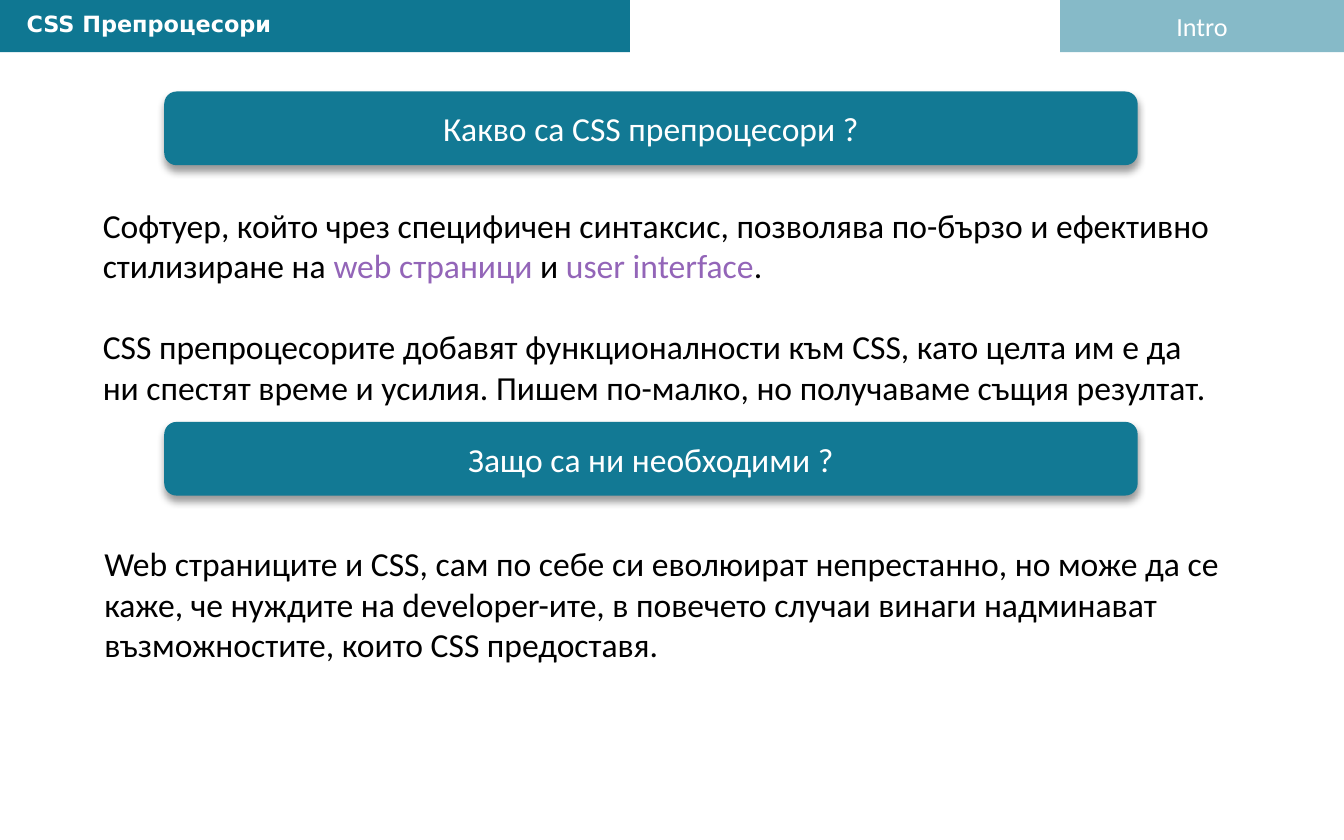
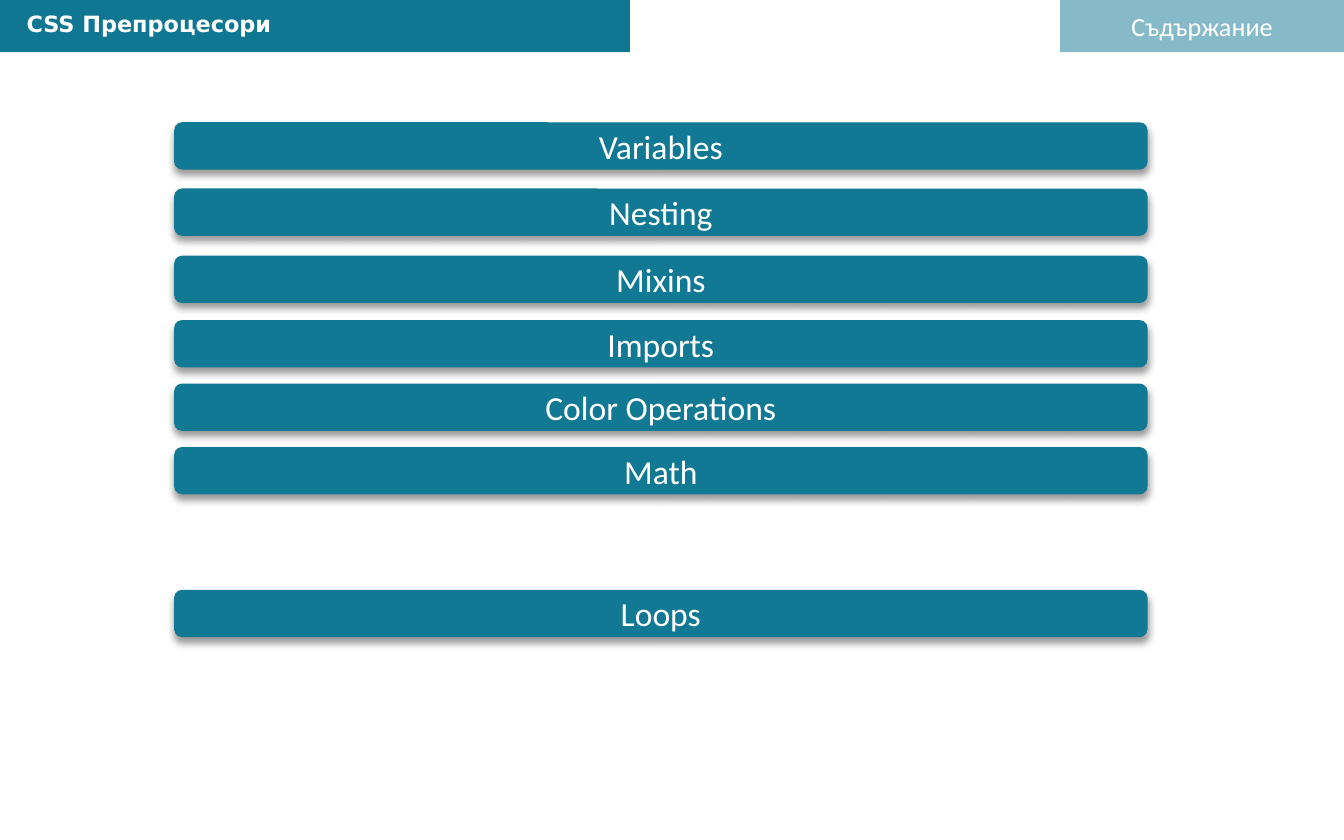
from dataclasses import dataclass

from lxml import etree
from pptx import Presentation
from pptx.dml.color import RGBColor
from pptx.enum.shapes import MSO_SHAPE
from pptx.enum.text import MSO_ANCHOR, PP_ALIGN
from pptx.oxml.ns import qn
from pptx.util import Pt

RECTANGLE = MSO_SHAPE.RECTANGLE
ROUNDED = MSO_SHAPE.ROUNDED_RECTANGLE
TOP, MIDDLE = MSO_ANCHOR.TOP, MSO_ANCHOR.MIDDLE
LEFT, CENTER = PP_ALIGN.LEFT, PP_ALIGN.CENTER
TITLE_ONLY = 5


@dataclass(frozen=True)
class Theme:
    band: str = "0F7792"
    button: str = "127994"
    light: str = "FFFFFF"
    ink: str = "000000"
    accent: str = "9365B8"
    body_font: str = "Calibri"
    title_font: str = "DejaVu Sans"
    title_size: float = 12
    section_size: float = 14
    body_size: float = 18
    paragraph_gap: float = 22


THEME = Theme()


def write(shape, paragraphs, size=THEME.body_size, color=THEME.ink,
          font=THEME.body_font, bold=False, align=LEFT, anchor=TOP, gap=0):
    frame = shape.text_frame
    frame.word_wrap = True
    frame.vertical_anchor = anchor
    frame.margin_left = frame.margin_right = Pt(7.2)
    frame.margin_top = frame.margin_bottom = Pt(3.6)
    for index, spans in enumerate(paragraphs):
        para = frame.add_paragraph() if index else frame.paragraphs[0]
        para.alignment = align
        para.space_before = Pt(gap if index else 0)
        for text, span_color in spans:
            span = para.add_run()
            span.text = text
            span.font.name = font
            span.font.size = Pt(size)
            span.font.bold = bold
            span.font.color.rgb = RGBColor.from_string(span_color or color)


def place(shape, box):
    shape.left, shape.top, shape.width, shape.height = map(Pt, box)


def add_block(page, kind, box, fill):
    shape = page.shapes.add_shape(kind, *map(Pt, box))
    shape.shadow.inherit = False
    shape.fill.solid()
    shape.fill.fore_color.rgb = RGBColor.from_string(fill)
    shape.line.fill.background()
    return shape


def set_opacity(color_element, percent):
    etree.SubElement(color_element, qn("a:alpha"), val=str(percent * 1000))


def add_shadow(shape, opacity=40, blur=4, distance=3):
    effects = shape._element.spPr.find(qn("a:effectLst"))
    shadow = etree.SubElement(effects, qn("a:outerShdw"), blurRad=str(Pt(blur)),
                              dist=str(Pt(distance)), dir="5400000", rotWithShape="0")
    set_opacity(etree.SubElement(shadow, qn("a:srgbClr"), val=THEME.ink), opacity)


def add_button(page, box, label):
    button = add_block(page, ROUNDED, box, THEME.button)
    add_shadow(button)
    write(button, [[(label, None)]], color=THEME.light, align=CENTER, anchor=MIDDLE)


def add_body(page, box, paragraphs):
    body = page.shapes.add_textbox(*map(Pt, box))
    write(body, paragraphs, gap=THEME.paragraph_gap)


def add_header(page, box, section):
    left, top, width, height = box
    section_width, title_width = 152, 337.5
    tab = add_block(page, RECTANGLE,
                    (left + width - section_width, top, section_width, height), THEME.band)
    set_opacity(tab._element.spPr.find(qn("a:solidFill"))[0], 50)
    write(tab, [[(section, None)]], size=THEME.section_size, color=THEME.light,
          align=CENTER, anchor=MIDDLE)
    band = add_block(page, RECTANGLE, (left, top, title_width, height), THEME.band)
    title = page.shapes.title
    band._element.addnext(title._element)
    place(title, (left + 7, top + 2, title_width - 13, height - 6))
    write(title, [[("CSS Препроцесори", None)]], size=THEME.title_size,
          color=THEME.light, font=THEME.title_font, bold=True)


def add_page(deck, section):
    page = deck.slides.add_slide(deck.slide_layouts[TITLE_ONLY])
    add_header(page, (0, 0, 720, 28), section)
    return page


def add_question(page, box, question, paragraphs, body_offset, body_left):
    left, top, width, height = box
    add_button(page, (left + 40, top, 521.5, 39.5), question)
    add_body(page, (left + body_left, top + body_offset, width, height - body_offset),
             paragraphs)


def build_intro(deck):
    page = add_page(deck, "Intro")
    definition = [
        [("Софтуер, който чрез специфичен синтаксис, позволява по-бързо и ефективно "
          "стилизиране на ", None),
         ("web страници", THEME.accent), (" и ", None),
         ("user interface", THEME.accent), (".", None)],
        [("CSS препроцесорите добавят функционалности към CSS, като целта им е да ни "
          "спестят време и усилия. Пишем по-малко, но получаваме същия резултат.", None)],
    ]
    reason = [[("Web страниците и CSS, сам по себе си еволюират непрестанно, но може да се "
                "каже, че нуждите на developer-ите, в повечето случаи винаги надминават "
                "възможностите, които CSS предоставя.", None)]]
    add_question(page, (48, 49, 612, 217), "Какво са CSS препроцесори ?",
                 definition, 57, 0)
    add_question(page, (48, 226, 612, 134), "Защо са ни необходими ?", reason, 61.5, 0.8)


def add_topics(page, box, topics):
    left, top, width, height = box
    for label, offset in topics:
        add_button(page, (left, top + offset, width, height), label)


def build_contents(deck):
    page = add_page(deck, "Съдържание")
    topics = [("Variables", 0), ("Nesting", 35.5), ("Mixins", 71.5), ("Imports", 106),
              ("Color Operations", 140), ("Math", 174), ("Loops", 250.5)]
    add_topics(page, (93.3, 65.5, 521.5, 25.3), topics)


def main():
    deck = Presentation()
    deck.slide_width, deck.slide_height = Pt(720), Pt(450)
    build_intro(deck)
    build_contents(deck)
    deck.save("out.pptx")


if __name__ == "__main__":
    main()
